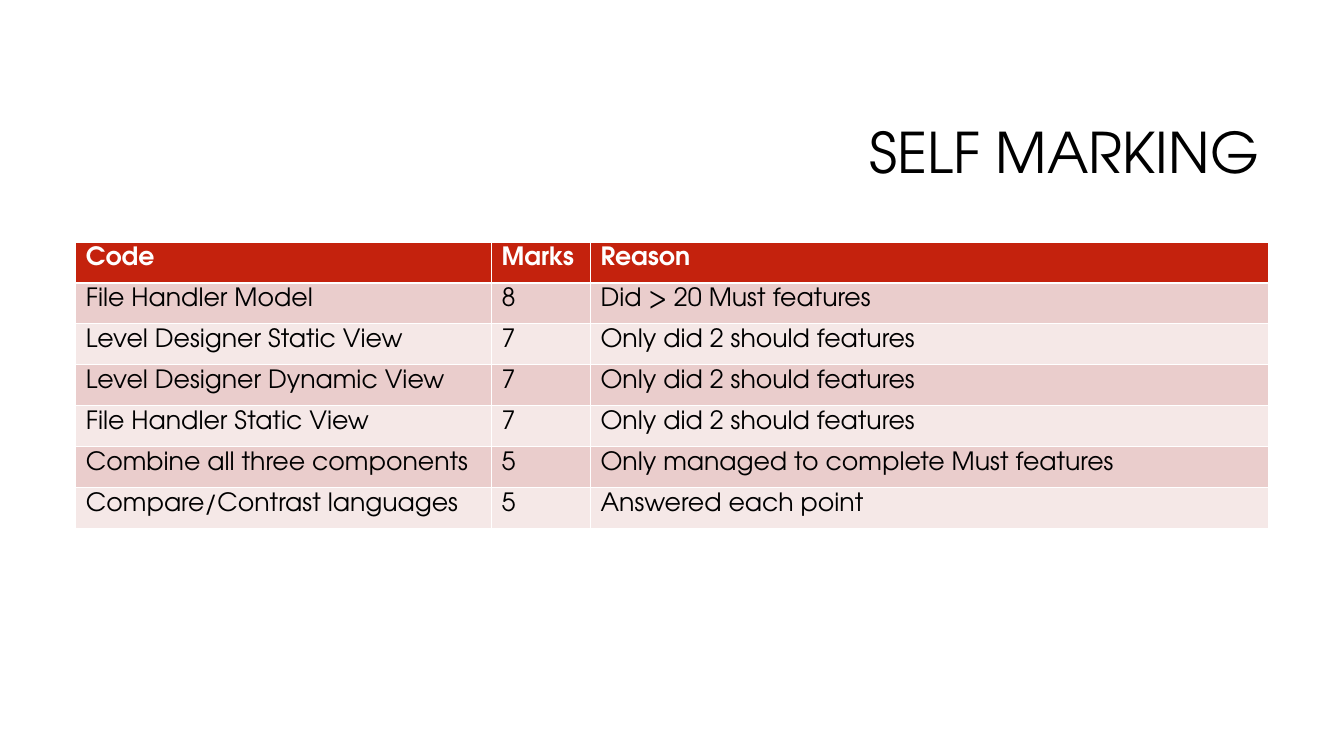
import pptx
import pptx.util
import pptx.dml.color
import pptx.enum.text
from pptx.util import Cm, Pt

FONT = "TeX Gyre Adventor"
COLORS = {
    "head": "C4220D",
    "odd": "EACDCC",
    "even": "F5E8E7",
    "white": "FFFFFF",
    "black": "000000",
}
ROWS = [
    ("Code", "Marks", "Reason"),
    ("File Handler Model", "8", "Did > 20 Must features"),
    ("Level Designer Static View", "7", "Only did 2 should features"),
    ("Level Designer Dynamic View", "7", "Only did 2 should features"),
    ("File Handler Static View", "7", "Only did 2 should features"),
    ("Combine all three components", "5", "Only managed to complete Must features"),
    ("Compare/Contrast languages", "5", "Answered each point"),
]
WIDTHS = [10.48, 2.49, 17.08]
HEIGHT = 1.03


def color(name):
    return pptx.dml.color.RGBColor.from_string(COLORS[name])


def style(par, size, ink, bold=False):
    par.font.name = FONT
    par.font.size = Pt(size)
    par.font.bold = bold
    par.font.color.rgb = color(ink)


deck = pptx.Presentation()
deck.slide_width = Cm(33.87)
deck.slide_height = Cm(19.05)
slide = deck.slides.add_slide(deck.slide_layouts[6])

# Title
title = slide.shapes.add_textbox(Cm(8.05), Cm(2.13), Cm(23.93), Cm(3.58))
frame = title.text_frame
frame.word_wrap = True
frame.vertical_anchor = pptx.enum.text.MSO_ANCHOR.MIDDLE
par = frame.paragraphs[0]
par.text = "SELF MARKING"
par.alignment = pptx.enum.text.PP_ALIGN.RIGHT
par.line_spacing = 0.9
style(par, 40, "black")

# Marks table; the default table style supplies the white rules
table = slide.shapes.add_table(
    len(ROWS), len(WIDTHS), Cm(1.91), Cm(6.1),
    Cm(sum(WIDTHS)), Cm(HEIGHT * len(ROWS)),
).table
for col, width in zip(table.columns, WIDTHS):
    col.width = Cm(width)
for i, texts in enumerate(ROWS):
    table.rows[i].height = Cm(HEIGHT)
    head = i == 0
    fill = "head" if head else "odd" if i % 2 else "even"
    for j, text in enumerate(texts):
        cell = table.cell(i, j)
        cell.fill.solid()
        cell.fill.fore_color.rgb = color(fill)
        cell.text = text
        style(cell.text_frame.paragraphs[0], 18, "white" if head else "black", head)

deck.save("out.pptx")
